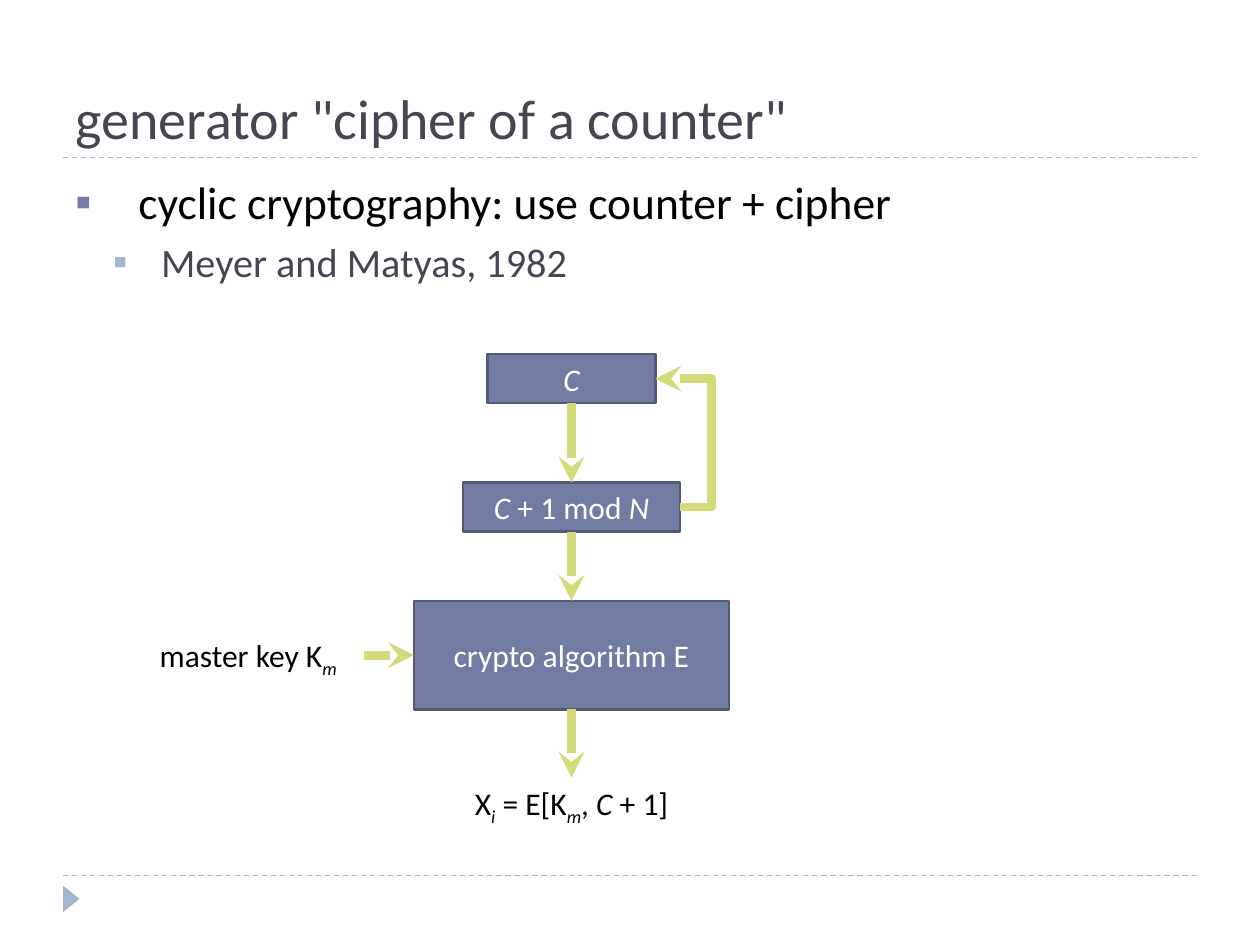
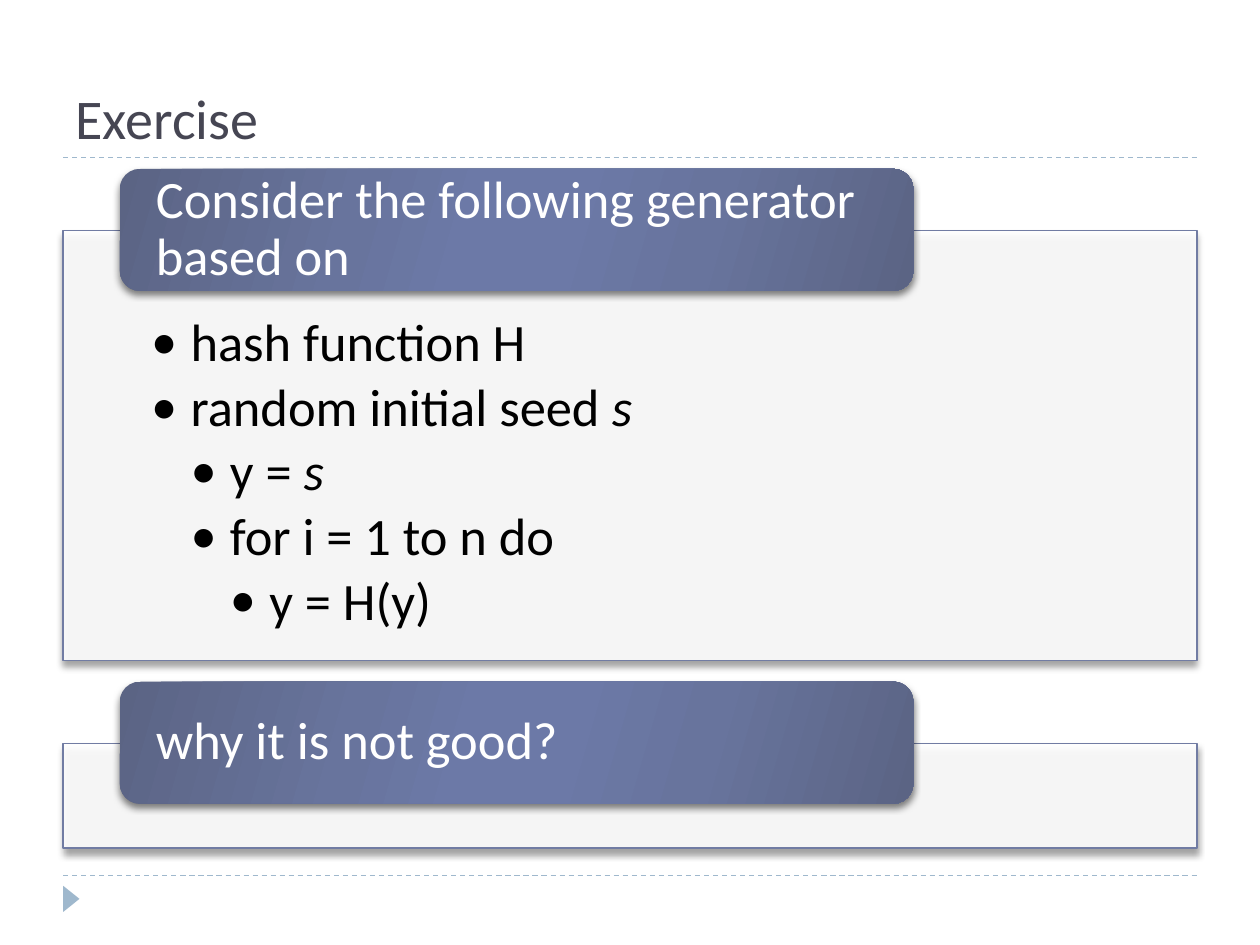
from dataclasses import dataclass

from lxml import etree
from pptx import Presentation
from pptx import util as u
from pptx.dml import color
from pptx.enum import dml, shapes, text
from pptx.oxml import ns

Pt = u.Pt


@dataclass(frozen=True)
class Theme:
    font: str = "Calibri"
    title: str = "464653"
    ink: str = "000000"
    light: str = "FFFFFF"
    box: str = "727CA3"
    box_edge: str = "535A76"
    panel_edge: str = "717CA3"
    arrow: str = "D2DA7A"
    accent: str = "9FB8CD"
    tab_stops: tuple = ((0, "5B6484"), (30, "68749D"), (45, "6C79A7"),
                        (55, "6C79A7"), (73, "68749D"), (100, "5B6484"))
    title_size: int = 32
    body_size: int = 26
    sub_size: int = 23
    diagram_size: int = 18
    exercise_size: int = 30


def rgb(value):
    return color.RGBColor.from_string(value)


def child(parent, tag, **attributes):
    element = etree.SubElement(parent, ns.qn(tag))
    for key, value in attributes.items():
        element.set(key, str(value))
    return element


def add_color(parent, value, alpha=None):
    clr = child(parent, "a:srgbClr", val=value)
    if alpha is not None:
        child(clr, "a:alpha", val=alpha * 1000)


def write(paragraph, runs, *, font, size, ink, align=text.PP_ALIGN.LEFT, level=0,
          bullet=None, bullet_color=None, bullet_scale=100, indent=0, hang=0,
          before=0, spacing=None):
    paragraph.level = level
    properties = paragraph._p.get_or_add_pPr()
    if bullet:
        properties.set("marL", str(Pt(indent)))
        properties.set("indent", str(-Pt(hang)))
        add_color(child(properties, "a:buClr"), bullet_color)
        child(properties, "a:buSzPct", val=bullet_scale * 1000)
        child(properties, "a:buFont", typeface=font)
        child(properties, "a:buChar", char=bullet)
    paragraph.alignment = align
    paragraph.space_before = Pt(before)
    if spacing:
        paragraph.line_spacing = spacing
    for content, style in runs:
        run = paragraph.add_run()
        run.text = content
        run.font.name = font
        run.font.size = Pt(size)
        run.font.color.rgb = rgb(ink)
        if style in ("italic", "sub"):
            run.font.italic = True
        if style == "sub":
            run.font._element.set("baseline", "-25000")


def plain(content):
    return [(content, "")]


class Deck:
    def __init__(self, theme):
        self.theme = theme
        self.presentation = Presentation()
        self.presentation.slide_width = Pt(720)
        self.presentation.slide_height = Pt(540)
        self.slide = None

    def start(self, heading):
        layout = self.presentation.slide_layouts.get_by_name("Title Only")
        self.slide = self.presentation.slides.add_slide(layout)
        for y in (500.4, 90):
            self.rule(y)
        marker = self.shape(shapes.MSO_SHAPE.ISOSCELES_TRIANGLE, 33.3, 509, 14.9, 9.3)
        marker.rotation = 90
        self.solid(marker, self.theme.accent)
        title = self.slide.shapes.title
        title.left, title.top, title.width, title.height = map(Pt, (36, 12, 648, 78))
        self.fill_frame(title, [dict(runs=plain(heading))], anchor=text.MSO_ANCHOR.BOTTOM,
                        size=self.theme.title_size, ink=self.theme.title)

    def shape(self, kind, x, y, width, height):
        item = self.slide.shapes.add_shape(kind, *map(Pt, (x, y, width, height)))
        item.shadow.inherit = False
        return item

    def solid(self, item, fill, edge=None, weight=0):
        item.fill.solid()
        item.fill.fore_color.rgb = rgb(fill)
        self.outline(item, edge, weight)

    def outline(self, item, edge, weight):
        if edge:
            item.line.color.rgb = rgb(edge)
            item.line.width = Pt(weight)
        else:
            item.line.fill.background()

    def cast_shadow(self, item, alpha, distance):
        effects = item._element.spPr.find(ns.qn("a:effectLst"))
        shadow = child(effects, "a:outerShdw", blurRad=Pt(4), dist=Pt(distance),
                       dir=90 * 60000, rotWithShape=0)
        add_color(shadow, self.theme.ink, alpha)

    def fill_frame(self, item, paragraphs, anchor=text.MSO_ANCHOR.TOP,
                   insets=(7.2, 3.6, 7.2, 3.6), **common):
        frame = item.text_frame
        frame.word_wrap = True
        frame.auto_size = text.MSO_AUTO_SIZE.NONE
        frame.vertical_anchor = anchor
        (frame.margin_left, frame.margin_top,
         frame.margin_right, frame.margin_bottom) = map(Pt, insets)
        for index, settings in enumerate(paragraphs):
            paragraph = frame.add_paragraph() if index else frame.paragraphs[0]
            write(paragraph, **{"font": self.theme.font, **common, **settings})

    def label(self, x, y, width, height, paragraphs, **common):
        item = self.slide.shapes.add_textbox(*map(Pt, (x, y, width, height)))
        self.fill_frame(item, paragraphs, **common)
        return item

    def box(self, x, y, width, height, runs):
        item = self.shape(shapes.MSO_SHAPE.RECTANGLE, x, y, width, height)
        self.solid(item, self.theme.box, self.theme.box_edge, 1.5)
        self.fill_frame(item, [dict(runs=runs)], anchor=text.MSO_ANCHOR.MIDDLE,
                        align=text.PP_ALIGN.CENTER, size=self.theme.diagram_size,
                        ink=self.theme.light)
        return item

    def panel(self, y, height, paragraphs=()):
        item = self.shape(shapes.MSO_SHAPE.RECTANGLE, 36, y, 648, height)
        self.solid(item, self.theme.light, self.theme.panel_edge, 0.75)
        fill = item._element.spPr.find(ns.qn("a:solidFill"))
        child(fill[0], "a:alpha", val=90000)
        self.cast_shadow(item, 40, 3.4)
        if paragraphs:
            self.fill_frame(item, paragraphs, insets=(50.4, 49, 50.4, 16.6),
                            size=self.theme.exercise_size, ink=self.theme.ink, spacing=0.9)

    def tab(self, panel_top, heading):
        item = self.shape(shapes.MSO_SHAPE.ROUNDED_RECTANGLE,
                          68.4, panel_top - 35.3, 453.6, 69.8)
        item.fill.gradient()
        item.fill.gradient_angle = 344
        stops = item._element.spPr.find(ns.qn("a:gradFill")).find(ns.qn("a:gsLst"))
        for stop in list(stops):
            stops.remove(stop)
        for position, value in self.theme.tab_stops:
            add_color(child(stops, "a:gs", pos=position * 1000), value)
        self.outline(item, None, 0)
        self.cast_shadow(item, 50, 2)
        self.fill_frame(item, [dict(runs=plain(heading))], anchor=text.MSO_ANCHOR.MIDDLE,
                        insets=(17.3, 0, 17.3, 0), size=self.theme.exercise_size,
                        ink=self.theme.light, spacing=0.9)

    def connector(self, kind, edge, weight, ends=(0, 0, 0, 0)):
        item = self.slide.shapes.add_connector(kind, *map(Pt, ends))
        self.outline(item, edge, weight)
        child(item._element.spPr, "a:effectLst")
        return item

    def rule(self, y):
        item = self.connector(shapes.MSO_CONNECTOR.STRAIGHT, self.theme.accent, 0.75,
                              (36, y, 684, y))
        item.line.dash_style = dml.MSO_LINE.DASH

    def arrow(self, source, source_side, target, target_side, bend=None):
        kinds = shapes.MSO_CONNECTOR
        kind = kinds.STRAIGHT if bend is None else kinds.ELBOW
        item = self.connector(kind, self.theme.arrow, 5)
        item.begin_connect(source, source_side)
        item.end_connect(target, target_side)
        child(item.line._get_or_add_ln(), "a:tailEnd", type="stealth")
        if bend is not None:
            geometry = item._element.spPr.find(ns.qn("a:prstGeom"))
            adjustments = geometry.find(ns.qn("a:avLst"))
            child(adjustments, "a:gd", name="adj1", fmla=f"val {round(bend * 100000)}")


def counter_slide(deck):
    theme = deck.theme
    deck.start('generator "cipher of a counter"')
    deck.label(36, 96, 648, 84, [
        dict(runs=plain("cyclic cryptography: use counter + cipher"), size=theme.body_size,
             ink=theme.ink, bullet="▪", bullet_color=theme.box, indent=36, hang=36),
        dict(runs=plain("Meyer and Matyas, 1982"), size=theme.sub_size, ink=theme.title,
             level=1, bullet="▪", bullet_color=theme.accent, indent=49, hang=27.4, before=5),
    ])
    axis = 326.6

    def centred(y, width, height, runs):
        return deck.box(axis - width / 2, y, width, height, runs)

    algorithm = centred(343.4, 180, 62, plain("crypto algorithm E"))
    increment = centred(275.8, 124, 28,
                        [("C", "italic"), (" + 1 mod ", ""), ("N", "italic")])
    counter = centred(202.4, 96, 28, [("C", "italic")])
    caption = dict(size=theme.diagram_size, ink=theme.ink)
    master_key = deck.label(84.2, 360, 124, 28.8,
                            [dict(runs=[("master key K", ""), ("m", "sub")])], **caption)
    result = [("X", ""), ("i", "sub"), (" = E[K", ""), ("m", "sub"),
              (", ", ""), ("C", "italic"), (" + 1]", "")]
    output = deck.label(axis - 101, 444.4, 202, 28.8, [dict(runs=result)],
                        align=text.PP_ALIGN.CENTER, **caption)
    for source, target in ((counter, increment), (increment, algorithm), (algorithm, output)):
        deck.arrow(source, 2, target, 0)
    deck.arrow(increment, 3, counter, 3, bend=-1.3)
    deck.arrow(master_key, 3, algorithm, 1)


def exercise_slide(deck):
    deck.start("Exercise")
    steps = [
        (1, plain("hash function H")),
        (1, [("random initial seed ", ""), ("s", "italic")]),
        (2, [("y = ", ""), ("s", "italic")]),
        (2, plain("for i = 1 to n do")),
        (3, plain("y = H(y)")),
    ]
    paragraphs = [dict(runs=runs, level=level, bullet="•", bullet_color=deck.theme.ink,
                       indent=22.5 * level, hang=22.5, before=4.5 if index else 0)
                  for index, (level, runs) in enumerate(steps)]
    sections = ((131.8, 245.5, "Consider the following generator based on", paragraphs),
                (424.8, 59.8, "why it is not good?", ()))
    for top, height, heading, content in sections:
        deck.panel(top, height, content)
        deck.tab(top, heading)


def main():
    deck = Deck(Theme())
    counter_slide(deck)
    exercise_slide(deck)
    deck.presentation.save("out.pptx")


if __name__ == "__main__":
    main()
